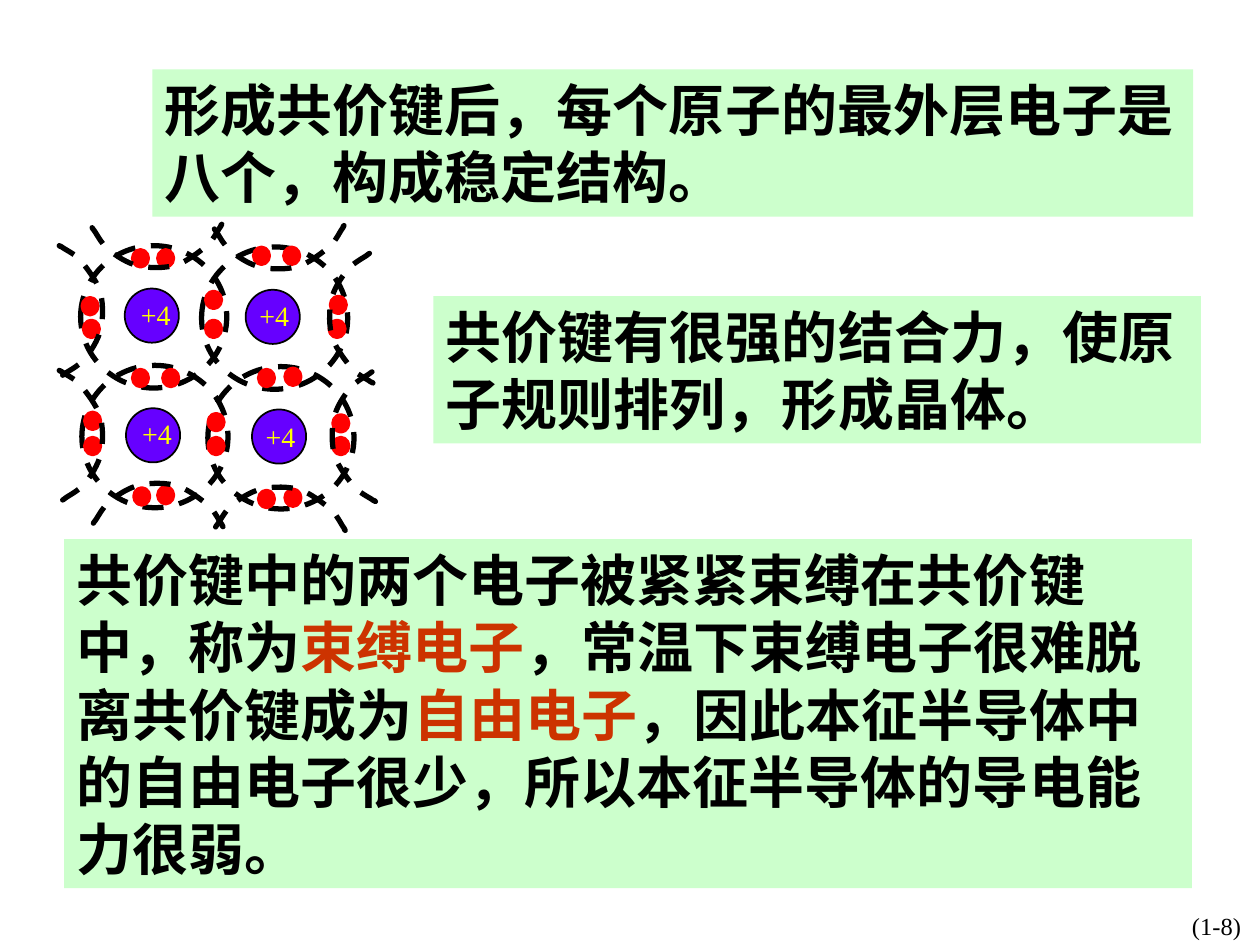
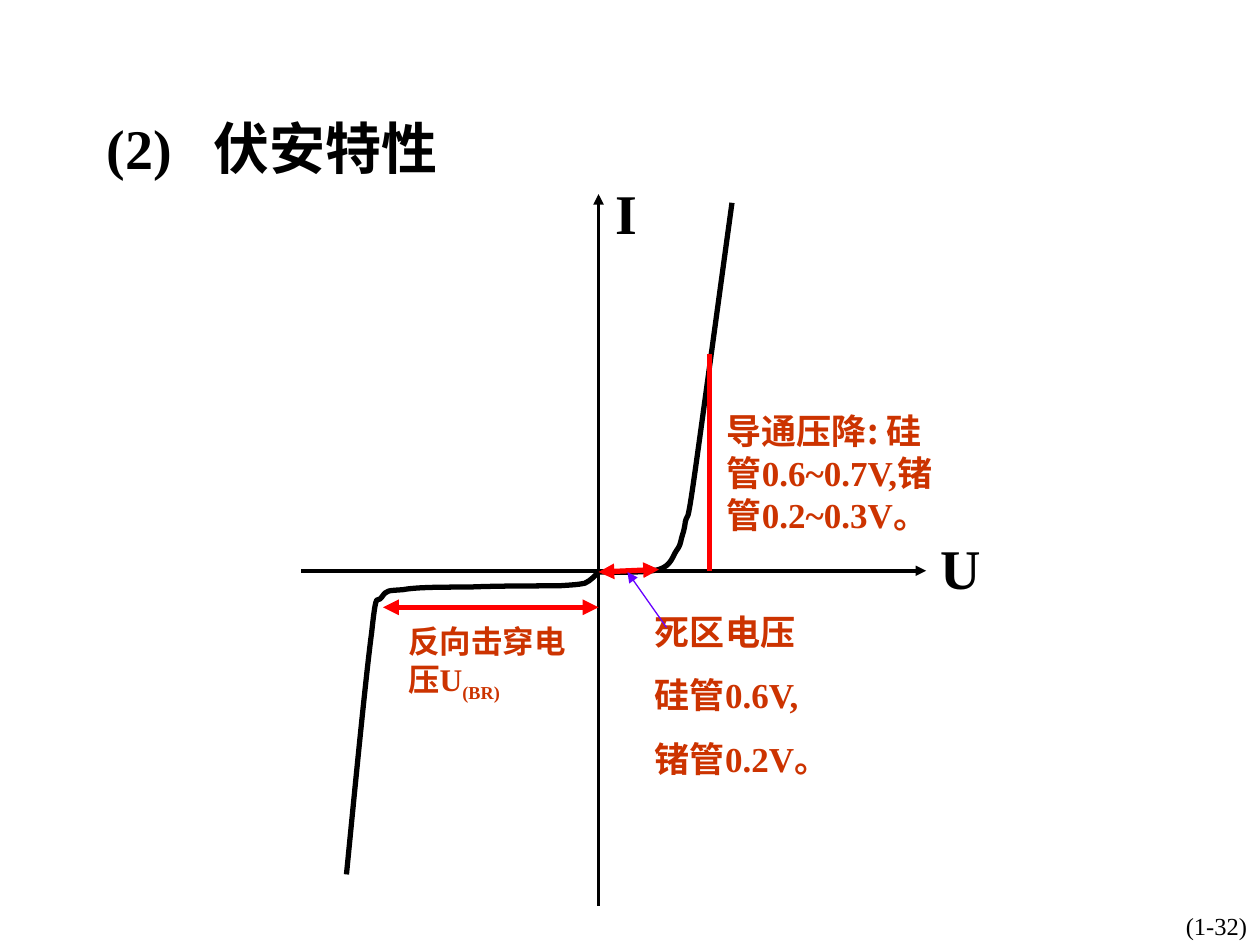
"""Build two slides: covalent bonds in a crystal and the diode volt-ampere curve."""
from lxml import etree
from pptx import Presentation, util as u
from pptx.dml.color import RGBColor
from pptx.enum import dml, shapes, text
from pptx.oxml import ns

LATIN, CHINESE = "Times New Roman", "Noto Sans CJK SC"
BLACK, RED, YELLOW, VIOLET = "000000", "FF0000", "FFFF00", "6600FF"
ACCENT, PANEL = "CC3300", "CCFFCC"
LEFT, CENTER = text.PP_ALIGN.LEFT, text.PP_ALIGN.CENTER
TOP, MIDDLE = text.MSO_ANCHOR.TOP, text.MSO_ANCHOR.MIDDLE
CM_PER_UNIT = 2.54

HEADING = {"size": 32, "bold": True, "color": BLACK}
KEYWORD = {**HEADING, "color": ACCENT}
NOTE = {"size": 20, "bold": True, "color": ACCENT}
NOTE_CHINESE = {**NOTE, "name": CHINESE}
SMALL_NOTE = {**NOTE, "size": 18}
ATOM_LABEL = {"size": 16, "color": YELLOW}
PAGE_NUMBER = {"size": 14, "color": BLACK}

PANELS = [
    ((0.51, 4.28, 8.95, 2.77), [
        ("共价键中的两个电子被紧紧束缚在共价键中，称为", HEADING),
        ("束缚电子", KEYWORD),
        ("，常温下束缚电子很难脱离共价键成为", HEADING),
        ("自由电子", KEYWORD),
        ("，因此本征半导体中的自由电子很少，所以本征半导体的导电能力很弱。", HEADING)]),
    ((1.21, 0.55, 8.26, 1.17),
     [("形成共价键后，每个原子的最外层电子是八个，构成稳定结构。", HEADING)]),
    ((3.44, 2.35, 6.09, 1.17),
     [("共价键有很强的结合力，使原子规则排列，形成晶体。", HEADING)]),
]

ATOM_SIZE, SHELL_SIZE, ELECTRON_SIZE = (0.43, 0.43), (1.16, 1.13), (0.11, 0.12)
SHELL_OFFSET = (-0.35, -0.34)
ATOMS = [((0.99, 2.29), (1.02, 2.31)), ((1.95, 2.30), (1.96, 2.32)),
         ((1.00, 3.24), (1.03, 3.26)), ((2.00, 3.25), (2.01, 3.28))]
ELECTRON_PAIRS = [
    ((1.64, 2.32), (1.64, 2.55)), ((2.27, 2.93), (2.06, 2.94)),
    ((1.66, 3.29), (1.66, 3.48)), ((1.06, 2.94), (1.30, 2.94)),
    ((0.68, 3.28), (0.68, 3.48)), ((1.06, 1.99), (1.26, 1.99)),
    ((0.66, 2.37), (0.67, 2.55)), ((2.27, 3.89), (2.06, 3.90)),
    ((2.62, 2.55), (2.63, 2.36)), ((1.26, 3.87), (1.07, 3.88)),
    ((2.26, 1.97), (2.02, 1.97)), ((2.65, 3.48), (2.65, 3.30)),
]
NEIGHBOUR_ARC = [
    (0.13, -0.50), (0.13, -0.50), (0.16, -0.52), (0.13, -0.50),
    (0.11, -0.48), (0.02, -0.44), (-0.03, -0.38),
    (-0.08, -0.32), (-0.14, -0.23), (-0.16, -0.14),
    (-0.18, -0.05), (-0.18, 0.08), (-0.15, 0.17),
    (-0.12, 0.25), (-0.05, 0.34), (-0.01, 0.39),
    (0.03, 0.44), (0.04, 0.44), (0.07, 0.46),
    (0.10, 0.48), (0.14, 0.50), (0.15, 0.51),
    (0.17, 0.52), (0.17, 0.52), (0.17, 0.52),
    (0.17, 0.52), (0.16, 0.51), (0.15, 0.51),
]
SIDES = {
    "right": lambda x, y: (x, y),
    "top": lambda x, y: (y, -x),
    "bottom": lambda x, y: (y, x),
    "left": lambda x, y: (-x, -y),
}
ARC_CENTERS = {
    "right": [(2.79, 2.52), (2.81, 3.46)],
    "top": [(1.24, 1.95), (2.21, 1.96)],
    "bottom": [(1.25, 4.01), (2.22, 4.04)],
    "left": [(0.64, 2.47), (0.64, 3.46)],
}

ORIGIN = (4.75, 4.54)
AXES = [((4.75, 1.54), (4.75, 7.19)), ((7.35, 4.53), (2.39, 4.53))]
FORWARD_CURVE = [
    ORIGIN, (4.83, 4.54), (5.13, 4.55), (5.23, 4.52),
    (5.33, 4.49), (5.34, 4.41), (5.37, 4.37), (5.40, 4.33), (5.40, 4.31), (5.41, 4.27),
    (5.42, 4.23), (5.43, 4.22), (5.44, 4.14), (5.46, 4.06), (5.45, 4.21), (5.51, 3.79),
    (5.57, 3.37), (5.76, 1.97), (5.81, 1.61),
]
REVERSE_CURVE = [
    ORIGIN, (4.73, 4.56), (4.69, 4.61), (4.64, 4.63),
    (4.58, 4.64), (4.58, 4.64), (4.43, 4.65), (4.27, 4.65), (3.92, 4.65), (3.72, 4.66),
    (3.51, 4.66), (3.31, 4.66), (3.20, 4.68), (3.08, 4.69), (3.07, 4.68), (3.03, 4.74),
    (2.99, 4.80), (2.99, 4.65), (2.95, 5.02), (2.90, 5.39), (2.79, 6.54), (2.75, 6.94),
]
BOTH_ENDS = ("headEnd", "tailEnd")
MARKERS = [
    (ORIGIN, ORIGIN, BLACK, 3, ()),
    (ORIGIN, (5.23, 4.52), RED, 3, BOTH_ENDS),
    ((5.63, 2.81), (5.63, 4.53), RED, 3, ()),
    ((3.04, 4.82), (4.75, 4.82), RED, 3, BOTH_ENDS),
]
POINTER = ((5.29, 4.98), (4.98, 4.54), VIOLET, 0.75, ("tailEnd",))
TITLE = ((0.75, 0.85, 2.96, 0.64), [("(2)\t伏安特性", HEADING)])
TITLE_TAB = 0.85
AXIS_LABELS = [((7.00, 4.18, 1.25, 0.64), "U"), ((4.75, 1.36, 0.44, 0.64), "I")]
CURVE_NOTES = [
    ((5.67, 3.20, 1.90, 1.10),
     [[("导通压降: 硅管", NOTE_CHINESE), ("0.6~0.7V,锗管0.2~0.3V。", NOTE)]]),
    ((3.14, 4.89, 1.61, 0.74),
     [[("反向击穿电压U", SMALL_NOTE), ("(BR)", {**SMALL_NOTE, "baseline": "-25000"})]]),
    ((5.10, 4.79, 2.06, 1.45),
     [[("死区电压", NOTE_CHINESE)],
      [("硅管", NOTE_CHINESE), ("0.6V,", NOTE)],
      [("锗管0.2V。", NOTE)]]),
]


def length(value):
    return u.Cm(value * CM_PER_UNIT)


def lengths(values):
    return [length(value) for value in values]


def color(value):
    return RGBColor.from_string(value)


def add_child(parent, tag, **attributes):
    return etree.SubElement(parent, ns.qn(tag), attributes)


def style_line(line, value, width, dashed=False):
    line.color.rgb = color(value)
    line.width = u.Pt(width)
    if dashed:
        line.dash_style = dml.MSO_LINE.DASH


def style_run(run, style):
    font = run.font
    font.color.rgb = color(style["color"])
    values = {"name": style.get("name", LATIN), "size": u.Pt(style["size"]),
              "bold": style.get("bold", False)}
    for name, value in values.items():
        setattr(font, name, value)
    properties = run._r.get_or_add_rPr()
    add_child(properties, "a:ea", typeface=CHINESE)
    if "baseline" in style:
        properties.set("baseline", style["baseline"])


def write(shape, paragraphs, align=LEFT, anchor=MIDDLE, gap=12.5):
    frame = shape.text_frame
    values = {"word_wrap": True, "vertical_anchor": anchor,
              "auto_size": text.MSO_AUTO_SIZE.SHAPE_TO_FIT_TEXT}
    for name, value in values.items():
        setattr(frame, name, value)
    for index, runs in enumerate(paragraphs):
        paragraph = frame.add_paragraph() if index else frame.paragraphs[0]
        paragraph.alignment = align
        paragraph._p.get_or_add_pPr().set("hangingPunct", "0")
        if index:
            paragraph.space_before = u.Pt(gap)
        for words, style in runs:
            run = paragraph.add_run()
            run.text = words
            style_run(run, style)
    return shape


def add_text(slide, place, paragraphs, **layout):
    return write(slide.shapes.add_textbox(*lengths(place)), paragraphs, **layout)


def add_filled(slide, kind, place, fill=None, line=None):
    shape = slide.shapes.add_shape(kind, *lengths(place))
    shape.shadow.inherit = False
    if fill:
        shape.fill.solid()
        shape.fill.fore_color.rgb = color(fill)
    else:
        shape.fill.background()
    if line:
        style_line(shape.line, *line)
    else:
        shape.line.fill.background()
    return shape


def add_oval(slide, corner, size, fill, line):
    return add_filled(slide, shapes.MSO_SHAPE.OVAL, (*corner, *size), fill, line)


def add_line(slide, start, end, value, width, arrows):
    connector = slide.shapes.add_connector(
        shapes.MSO_CONNECTOR.STRAIGHT, *lengths((*start, *end)))
    style_line(connector.line, value, width)
    for arrow in arrows:
        add_child(connector.line._get_or_add_ln(), f"a:{arrow}", type="triangle")
    add_child(connector._element.spPr, "a:effectLst")


def bend_segments(curve):
    segments = list(curve._element.iter(ns.qn("a:lnTo")))
    outline = segments[0].getparent()
    for first in range(0, len(segments), 3):
        bend = add_child(outline, "a:cubicBezTo")
        for segment in segments[first:first + 3]:
            bend.append(segment[0])
            outline.remove(segment)


def add_curve(slide, controls, dashed=False):
    start, *others = [lengths(point) for point in controls]
    builder = slide.shapes.build_freeform(*start)
    builder.add_line_segments(others, close=False)
    curve = builder.convert_to_shape()
    bend_segments(curve)
    curve.shadow.inherit = False
    curve.fill.background()
    style_line(curve.line, BLACK, 3, dashed)


def new_slide(presentation, number):
    slide = presentation.slides.add_slide(presentation.slide_layouts[6])
    add_text(slide, (8.69, 7.18, 1.93, 0.33), [[(number, PAGE_NUMBER)]], align=CENTER)
    return slide


def draw_crystal(slide):
    for atom, _ in ATOMS:
        add_oval(slide, atom, ATOM_SIZE, VIOLET, (BLACK, 1))
        shell = [a + b for a, b in zip(atom, SHELL_OFFSET)]
        add_oval(slide, shell, SHELL_SIZE, None, (BLACK, 3, True))
    for pair in ELECTRON_PAIRS:
        for electron in pair:
            add_oval(slide, electron, ELECTRON_SIZE, RED, (RED, 3))
    for side, centers in ARC_CENTERS.items():
        turned = [SIDES[side](*point) for point in NEIGHBOUR_ARC]
        for cx, cy in centers:
            add_curve(slide, [(cx + x, cy + y) for x, y in turned], dashed=True)
    for _, label in ATOMS:
        add_text(slide, (*label, 0.49, 0.37), [[("+4", ATOM_LABEL)]], anchor=TOP)


def build_bond_slide(presentation):
    slide = new_slide(presentation, "(1-8)")
    for place, runs in PANELS:
        write(add_filled(slide, shapes.MSO_SHAPE.RECTANGLE, place, PANEL), [runs])
    draw_crystal(slide)


def build_curve_slide(presentation):
    slide = new_slide(presentation, "(1-32)")
    place, runs = TITLE
    title = add_text(slide, place, [runs])
    tabs = add_child(title.text_frame.paragraphs[0]._p.get_or_add_pPr(), "a:tabLst")
    add_child(tabs, "a:tab", pos=str(length(TITLE_TAB)), algn="l")
    for tip, tail in AXES:
        add_line(slide, tip, tail, BLACK, 2, ("headEnd",))
    for controls in (FORWARD_CURVE, REVERSE_CURVE):
        add_curve(slide, controls)
    for place, name in AXIS_LABELS:
        add_text(slide, place, [[(name, HEADING)]], align=CENTER)
    for marker in MARKERS:
        add_line(slide, *marker)
    for place, paragraphs in CURVE_NOTES:
        add_text(slide, place, paragraphs)
    add_line(slide, *POINTER)


def main():
    presentation = Presentation()
    presentation.slide_width, presentation.slide_height = u.Cm(25.4), u.Cm(19.05)
    build_bond_slide(presentation)
    build_curve_slide(presentation)
    presentation.save("out.pptx")


if __name__ == "__main__":
    main()
